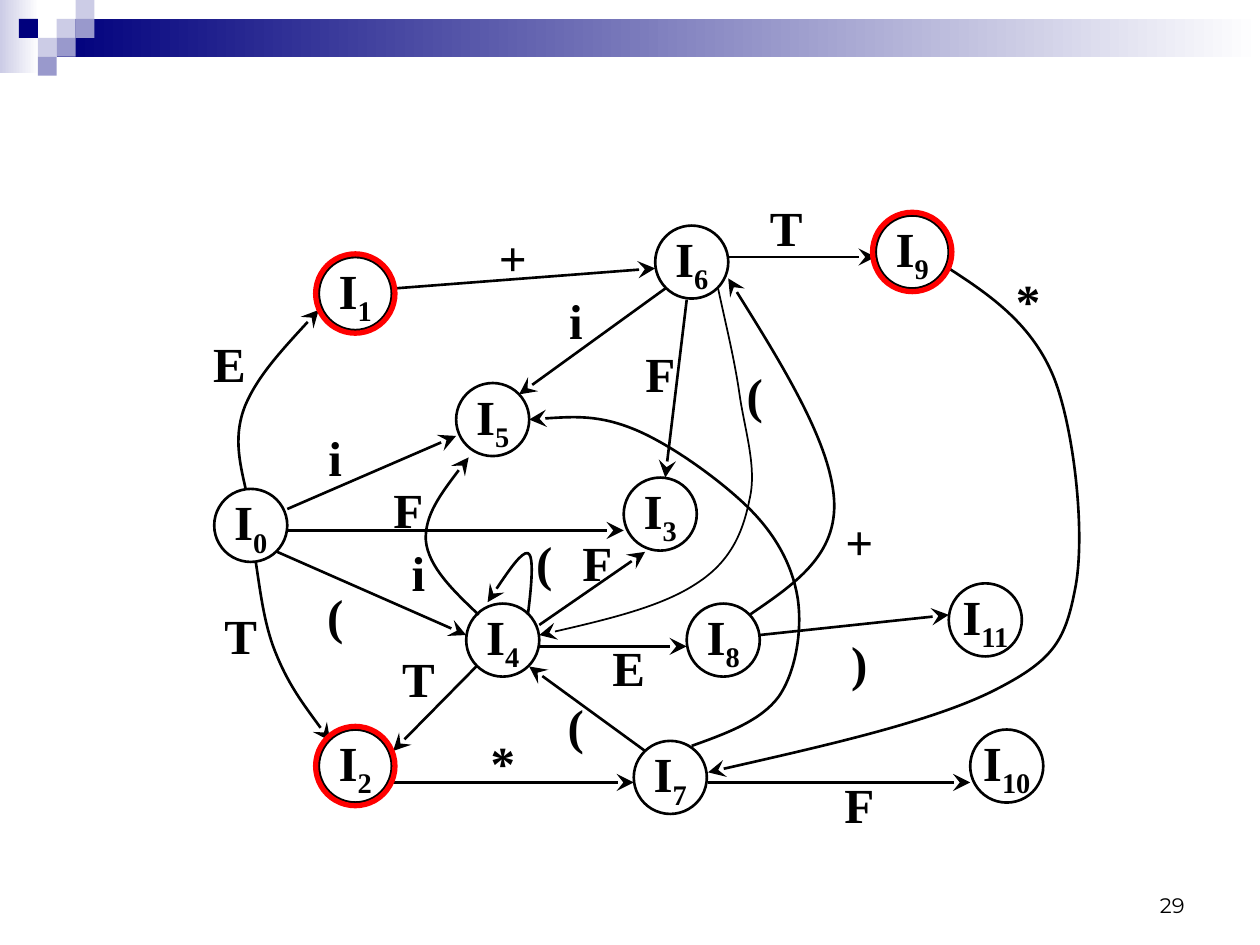
from lxml import etree
from pptx import Presentation
from pptx.dml.color import RGBColor
from pptx.enum.shapes import MSO_CONNECTOR as Connector, MSO_SHAPE as Shape
from pptx.enum.text import MSO_ANCHOR as Anchor, PP_ALIGN as Align
from pptx.oxml.ns import qn
from pptx.util import Inches, Pt

NODE_SIZE = 0.58
RING_SIZE = 0.63
SQUARE = 0.15

SQUARES = [
    (3, 1, "CCCCE6"), (4, 0, "CCCCE6"), (4, 1, "9999CC"), (2, 2, "CCCCE6"),
    (1, 1, "00007D"), (3, 2, "9999CC"), (2, 3, "9999CC"),
]
NODES = {
    "0": (1.7, 3.88), "1": (2.53, 2.04), "2": (2.53, 5.79), "3": (4.95, 3.79),
    "4": (3.7, 4.79), "5": (3.62, 3.04), "6": (5.2, 1.79), "7": (5.03, 5.88),
    "8": (5.45, 4.79), "9": (6.95, 1.71), "10": (7.7, 5.79), "11": (7.53, 4.63),
}
ACCEPTING = ["1", "2", "9"]
STRAIGHT_EDGES = [
    ((2.28, 4.04), (3.62, 3.46)), ((2.28, 4.21), (4.95, 4.21)),
    ((2.2, 4.38), (3.7, 5.04)), ((3.78, 5.29), (3.12, 5.96)),
    ((5.12, 5.96), (4.2, 5.29)), ((3.12, 6.21), (5.03, 6.21)),
    ((5.62, 6.21), (7.7, 6.21)), ((3.12, 2.29), (5.2, 2.13)),
    ((5.78, 2.04), (6.95, 2.04)), ((4.28, 4.96), (5.12, 4.38)),
    ((4.28, 5.13), (5.45, 5.13)), ((5.28, 2.29), (4.12, 3.13)),
    ((5.45, 2.38), (5.28, 3.79)), ((6.03, 5.04), (7.53, 4.88)),
]
CURVED_EDGES = [
    [(1.95, 3.88), (1.9, 3.66), (1.85, 3.45), (1.95, 3.21),
     (2.05, 2.98), (2.29, 2.72), (2.53, 2.46)],
    [(2.03, 4.46), (2.07, 4.72), (2.1, 4.98), (2.2, 5.21),
     (2.3, 5.45), (2.46, 5.66), (2.62, 5.88)],
    [(3.8, 4.88), (3.6, 4.69), (3.4, 4.5), (3.38, 4.29),
     (3.37, 4.09), (3.54, 3.86), (3.72, 3.63)],
    [(4.19, 4.88), (4.22, 4.64), (4.24, 4.41), (4.19, 4.39),
     (4.14, 4.38), (4, 4.58), (3.87, 4.78)],
    [(5.49, 5.92), (5.77, 5.82), (6.04, 5.72), (6.18, 5.53),
     (6.32, 5.33), (6.37, 4.99), (6.33, 4.74),
     (6.29, 4.5), (6.17, 4.26), (5.95, 4.04),
     (5.73, 3.82), (5.33, 3.53), (5.04, 3.41),
     (4.75, 3.29), (4.47, 3.31), (4.2, 3.33)],
    [(5.95, 4.88), (6.3, 4.64), (6.65, 4.41), (6.62, 3.96),
     (6.59, 3.52), (6.19, 2.86), (5.78, 2.21)],
    [(7.53, 2.13), (7.87, 2.35), (8.2, 2.58), (8.37, 3.01),
     (8.53, 3.43), (8.62, 4.27), (8.53, 4.69),
     (8.45, 5.1), (8.35, 5.25), (7.87, 5.49),
     (7.38, 5.73), (6.5, 5.93), (5.62, 6.13)],
]
THIN_EDGE = [
    (5.7, 2.29), (5.76, 2.57), (5.83, 2.85), (5.87, 3.13),
    (5.91, 3.41), (6.01, 3.71), (5.95, 3.96),
    (5.9, 4.21), (5.81, 4.45), (5.53, 4.63),
    (5.26, 4.81), (4.77, 4.93), (4.28, 5.04),
]
LABELS = [
    ("E", 1.53, 2.63), ("+", 3.78, 1.79), ("T", 5.95, 1.55), ("*", 7.87, 2.13),
    ("T", 1.62, 4.79), ("T", 3.03, 5.13), ("i", 2.37, 3.38), ("F", 2.95, 3.79),
    ("(", 2.37, 4.63), ("i", 3.03, 4.29), ("(", 4.03, 4.21), ("F", 4.45, 4.21),
    ("E", 4.7, 5.04), ("(", 5.7, 2.88), ("F", 4.95, 2.71), ("i", 4.28, 2.29),
    ("+", 6.53, 4.04), ("F", 6.53, 6.13), ("*", 3.7, 5.8), ("(", 4.28, 5.5),
    (")", 6.53, 5.0),
]


def color(value):
    return RGBColor.from_string(value)


def write(box, text, subscript="", font="Times New Roman", size=28, bold=True,
          align=Align.CENTER, anchor=Anchor.MIDDLE, wrap=False):
    frame = box.text_frame
    frame.word_wrap = wrap
    frame.vertical_anchor = anchor
    para = frame.paragraphs[0]
    para.alignment = align
    for content, baseline in ((text, None), (subscript, "-25000")):
        if not content:
            continue
        span = para.add_run()
        span.text = content
        span.font.name = font
        span.font.size = Pt(size)
        span.font.bold = bold
        span.font.color.rgb = color("000000")
        if baseline:
            span._r.get_or_add_rPr().set("baseline", baseline)


class Diagram:
    ink = "000000"
    accent = "FF0000"
    stroke = 1.5

    def __init__(self, page):
        self.page = page

    def rect(self, left, top, width, height, *fills):
        block = self.page.shapes.add_shape(
            Shape.RECTANGLE, Inches(left), Inches(top), Inches(width), Inches(height))
        block.shadow.inherit = False
        block.line.fill.background()
        if len(fills) == 1:
            block.fill.solid()
            block.fill.fore_color.rgb = color(fills[0])
        else:
            block.fill.gradient()
            block.fill.gradient_angle = 0
            for position, (stop, fill) in enumerate(zip(block.fill.gradient_stops, fills)):
                stop.position = position
                stop.color.rgb = color(fill)

    def circle(self, left, top, size, line, width):
        ellipse = self.page.shapes.add_shape(
            Shape.OVAL, Inches(left), Inches(top), Inches(size), Inches(size))
        ellipse.shadow.inherit = False
        ellipse.fill.background()
        ellipse.line.color.rgb = color(line)
        ellipse.line.width = Pt(width)
        return ellipse

    def node(self, number, left, top):
        write(self.circle(left, top, NODE_SIZE, self.ink, self.stroke), "I", subscript=number)

    def ring(self, left, top):
        offset = (RING_SIZE - NODE_SIZE) / 2
        self.circle(left - offset, top - offset, RING_SIZE, self.accent, 3)

    def arrow(self, edge, width):
        edge.line.color.rgb = color(self.ink)
        edge.line.width = Pt(width)
        line = edge._element.spPr.find(qn("a:ln"))
        etree.SubElement(line, qn("a:tailEnd"), type="stealth", w="lg", len="lg")

    def straight(self, start, end):
        edge = self.page.shapes.add_connector(
            Connector.STRAIGHT, *(Inches(value) for value in start + end))
        self.arrow(edge, self.stroke)
        etree.SubElement(edge._element.spPr, qn("a:effectLst"))

    def curve(self, points, width=stroke):
        start, *rest = [(Inches(x), Inches(y)) for x, y in points]
        builder = self.page.shapes.build_freeform(*start)
        builder.add_line_segments(rest, close=False)
        edge = builder.convert_to_shape()
        edge.shadow.inherit = False
        edge.fill.background()
        outline = edge._element.spPr.find(".//" + qn("a:path"))
        segments = outline.findall(qn("a:lnTo"))
        for first in range(0, len(segments), 3):
            bezier = etree.SubElement(outline, qn("a:cubicBezTo"))
            for segment in segments[first:first + 3]:
                bezier.append(segment[0])
                outline.remove(segment)
        self.arrow(edge, width)

    def label(self, text, left, top, width=NODE_SIZE, height=0.5, **style):
        box = self.page.shapes.add_textbox(
            Inches(left), Inches(top), Inches(width), Inches(height))
        write(box, text, **style)


def main():
    deck = Presentation()
    deck.slide_width = Inches(10)
    deck.slide_height = Inches(7.5)
    diagram = Diagram(deck.slides.add_slide(deck.slide_layouts[6]))

    diagram.rect(0, 0, 0.31, 0.58, "CCCCE6", "FFFFFF")
    diagram.rect(0.45, 0.15, 9.55, 0.3, "00007D", "FFFFFF")
    for column, row, fill in SQUARES:
        diagram.rect(column * SQUARE, row * SQUARE, SQUARE, SQUARE, fill)
    diagram.label("29", 7.17, 6.83, width=2.33, font="Montserrat", size=12, bold=False,
                  align=Align.RIGHT, anchor=Anchor.BOTTOM, wrap=True)

    for number, corner in NODES.items():
        diagram.node(number, *corner)
    for start, end in STRAIGHT_EDGES:
        diagram.straight(start, end)
    for points in CURVED_EDGES:
        diagram.curve(points)
    diagram.curve(THIN_EDGE, width=1)
    for text, left, top in LABELS:
        diagram.label(text, left, top)
    for number in ACCEPTING:
        diagram.ring(*NODES[number])

    deck.save("out.pptx")


if __name__ == "__main__":
    main()
